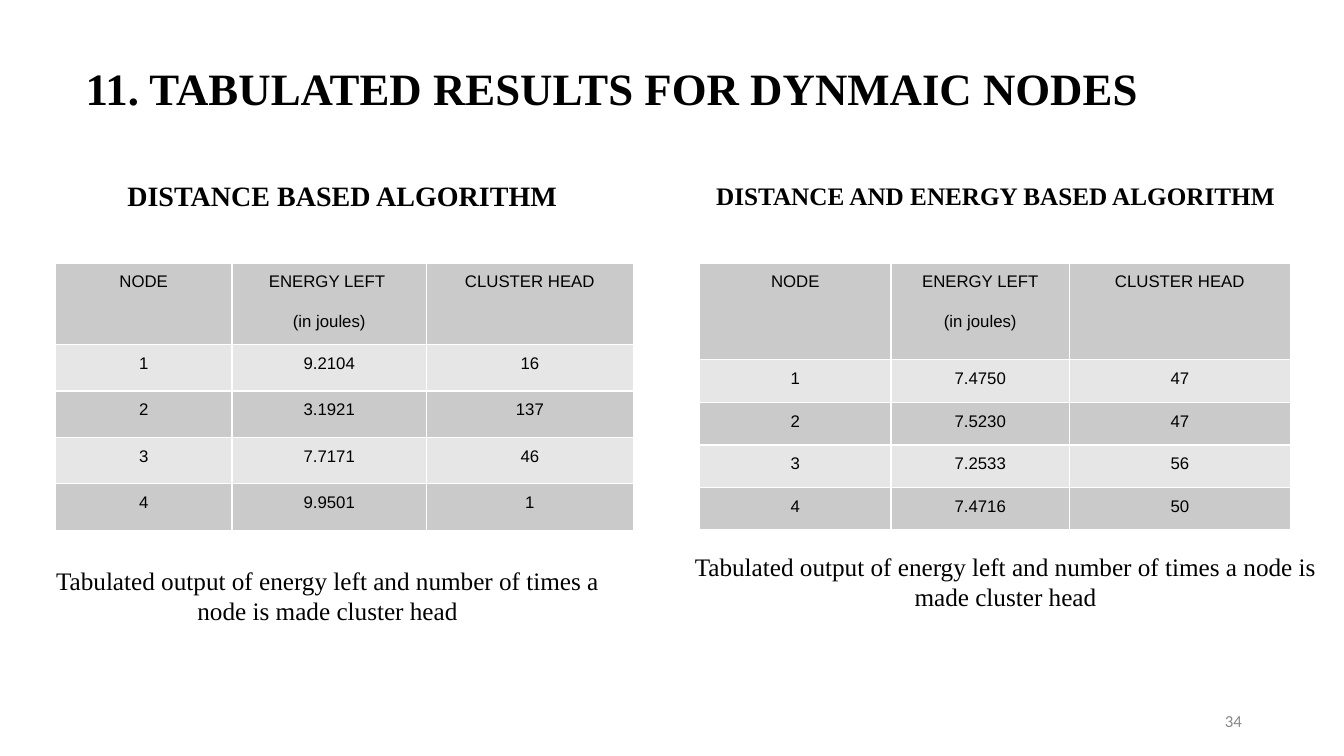
from lxml import etree
from pptx import Presentation
from pptx.dml.color import RGBColor
from pptx.enum.text import MSO_ANCHOR, PP_ALIGN
from pptx.oxml.ns import qn
from pptx.util import Inches, Pt

LEFT, CENTER, RIGHT = PP_ALIGN.LEFT, PP_ALIGN.CENTER, PP_ALIGN.RIGHT
TOP, MIDDLE = MSO_ANCHOR.TOP, MSO_ANCHOR.MIDDLE

COLORS = {
    "text": "000000",
    "page": "888888",
    "dark_band": "CACACA",
    "light_band": "E6E6E6",
    "border": "FFFFFF",
}
SERIF, SANS, PAGE_FONT = "Times New Roman", "Arial", "Calibri"
CAPTION = ("Tabulated output of energy left and number of times "
           "a node is made cluster head")


class SlideBuilder:
    """Draws on one slide; lengths are percentages of the slide's size."""

    def __init__(self, presentation):
        self.presentation = presentation
        self.slide = presentation.slides.add_slide(presentation.slide_layouts[6])

    def x(self, percent):
        return round(self.presentation.slide_width * percent / 100)

    def y(self, percent):
        return round(self.presentation.slide_height * percent / 100)

    def box(self, left, top, width, height):
        return self.x(left), self.y(top), self.x(width), self.y(height)

    def run(self, paragraph, text, size, font=SERIF, color="text", bold=False):
        run = paragraph.add_run()
        run.text = text
        run.font.size = Pt(size)
        run.font.name = font
        run.font.bold = bold
        run.font.color.rgb = RGBColor.from_string(COLORS[color])

    def text(self, place, text, size, align=CENTER, anchor=TOP, indent=0,
             spacing=1.0, **style):
        frame = self.slide.shapes.add_textbox(*self.box(*place)).text_frame
        frame.word_wrap = True
        frame.vertical_anchor = anchor
        paragraph = frame.paragraphs[0]
        paragraph.alignment = align
        paragraph.line_spacing = spacing
        paragraph._p.get_or_add_pPr().set("marL", str(Inches(indent)))
        self.run(paragraph, text, size, **style)

    def border(self, cell):
        properties = cell._tc.get_or_add_tcPr()
        for position, side in enumerate(("lnL", "lnR", "lnT", "lnB")):
            line = etree.Element(qn(f"a:{side}"), w=str(Pt(1)))
            fill = etree.SubElement(line, qn("a:solidFill"))
            etree.SubElement(fill, qn("a:srgbClr"), val=COLORS["border"])
            properties.insert(position, line)

    def cell(self, cell, lines, band):
        cell.margin_left = cell.margin_right = Inches(0.07)
        cell.margin_top = cell.margin_bottom = 0
        cell.fill.solid()
        cell.fill.fore_color.rgb = RGBColor.from_string(COLORS[band])
        self.border(cell)
        for number, line in enumerate(lines):
            frame = cell.text_frame
            paragraph = frame.add_paragraph() if number else frame.paragraphs[0]
            paragraph.alignment = CENTER
            paragraph.line_spacing = 1.5
            if number:
                paragraph.space_before = Pt(8)
            self.run(paragraph, line, 12, font=SANS)

    def table(self, left, top, height, widths, header_height, rows):
        place = self.box(left, top, sum(widths), height)
        table = self.slide.shapes.add_table(len(rows), len(widths), *place).table
        table.first_row = table.horz_banding = False
        for column, width in zip(table.columns, widths):
            column.width = self.x(width)
        body_height = (height - header_height) / (len(rows) - 1)
        for index, values in enumerate(rows):
            table.rows[index].height = self.y(body_height if index else header_height)
            band = "light_band" if index % 2 else "dark_band"
            for column, value in enumerate(values):
                self.cell(table.cell(index, column), value.split("\n"), band)


def main():
    presentation = Presentation()
    presentation.slide_width = Inches(13.33)
    presentation.slide_height = Inches(7.5)
    builder = SlideBuilder(presentation)

    # Title
    builder.text((4.13, 3.87, 85.8, 8.67), "11. TABULATED RESULTS FOR DYNMAIC NODES",
                 32, align=LEFT, indent=0.2, spacing=1.5, bold=True)

    # Headings of the two algorithms
    builder.text((0.9, 22.93, 42.15, 5.87), "DISTANCE BASED ALGORITHM ", 20,
                 anchor=MIDDLE, indent=1, bold=True)
    builder.text((52.13, 23.2, 43.88, 5.33), "DISTANCE AND ENERGY BASED ALGORITHM",
                 18, anchor=MIDDLE, bold=True)

    # Result tables
    builder.table(4.13, 34.8, 35.33, (13.13, 14.48, 15.38), 10.8, [
        ("NODE", "ENERGY LEFT \n(in joules)", "CLUSTER HEAD"),
        ("1", "9.2104", "16"),
        ("2", "3.1921", "137"),
        ("3", "7.7171", "46"),
        ("4", "9.9501", "1"),
    ])
    builder.table(52.05, 34.8, 35.33, (14.25, 13.28, 16.43), 12.8, [
        ("NODE", "ENERGY LEFT\n(in joules)", "CLUSTER HEAD"),
        ("1", "7.4750", "47"),
        ("2", "7.5230", "47"),
        ("3", "7.2533", "56"),
        ("4", "7.4716", "50"),
    ])

    # Captions
    for place in ((2.7, 74.13, 43.35, 9.47), (49.8, 72.27, 50.03, 9.47)):
        builder.text(place, CAPTION, 18)

    # Page number
    builder.text((70.65, 92.67, 22.5, 5.33), "34", 12, align=RIGHT, anchor=MIDDLE,
                 font=PAGE_FONT, color="page")

    presentation.save("out.pptx")


if __name__ == "__main__":
    main()
